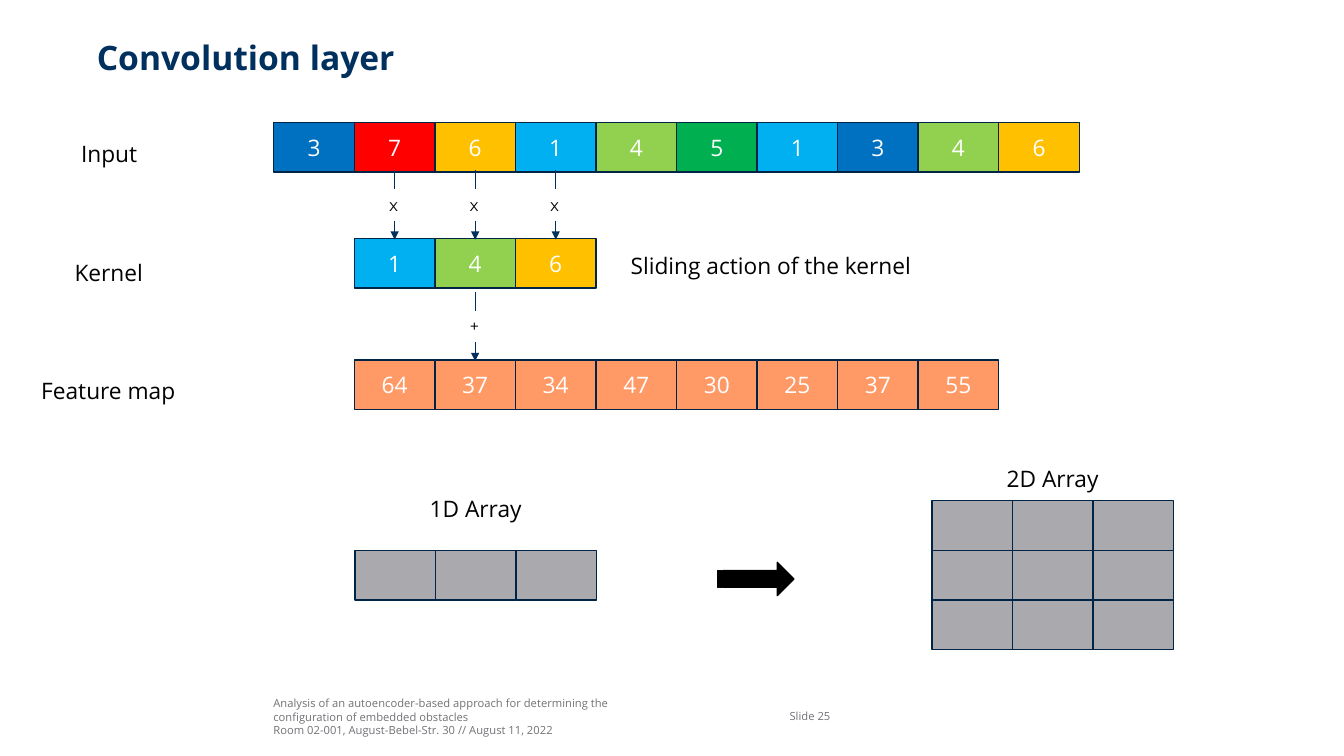
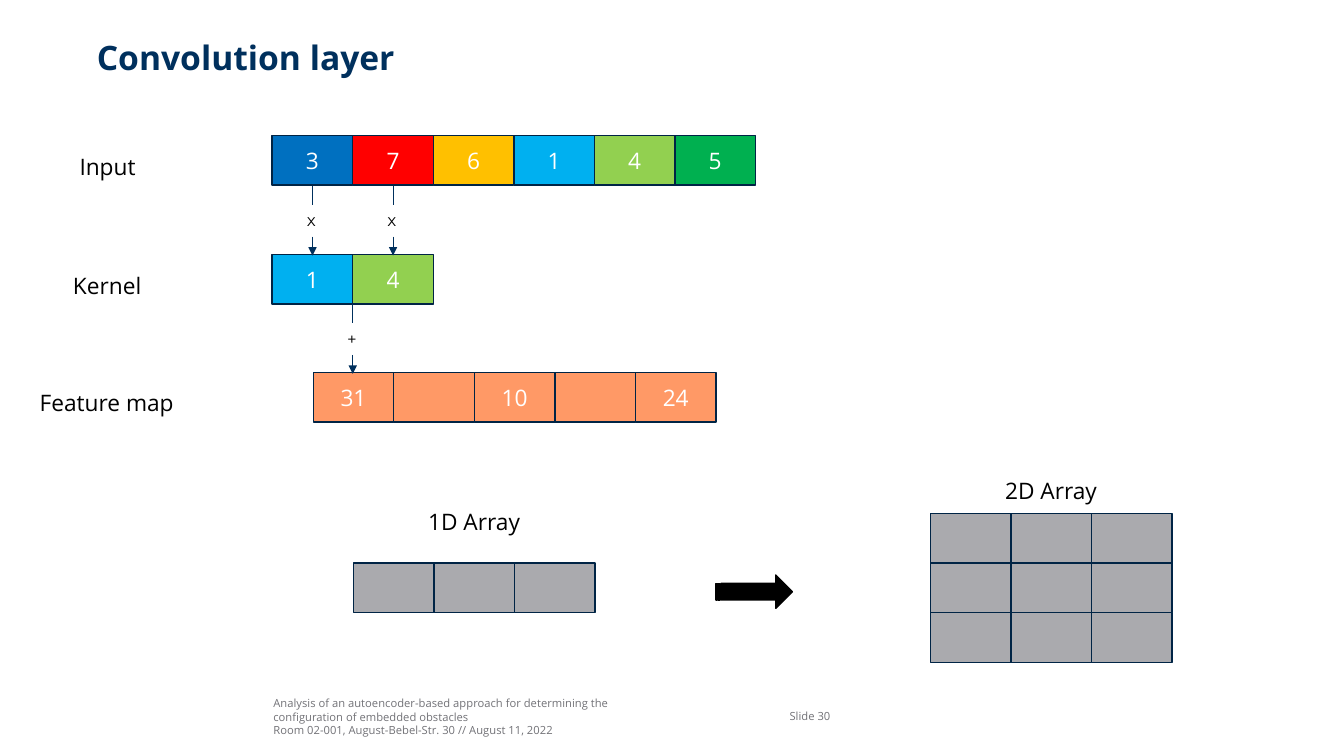
"""Build two slides that explain convolution with rows of numbered cells."""
from dataclasses import dataclass

from lxml.etree import SubElement
from pptx import Presentation
from pptx.dml.color import RGBColor
from pptx.enum.shapes import MSO_CONNECTOR, MSO_SHAPE
from pptx.enum.text import MSO_ANCHOR, MSO_AUTO_SIZE, PP_ALIGN
from pptx.oxml.ns import qn
from pptx.util import Cm, Pt


@dataclass(frozen=True)
class Theme:
    navy = RGBColor.from_string("00305D")
    edge = RGBColor.from_string("002445")
    black = RGBColor.from_string("000000")
    white = RGBColor.from_string("FFFFFF")
    footer = RGBColor.from_string("727277")
    gray = RGBColor.from_string("AAAAAE")
    salmon = RGBColor.from_string("FF9966")
    font = "Open Sans"
    symbol_font = "Montserrat"
    title_size = Pt(24)
    body_size = Pt(16.2)
    symbol_size = Pt(12)
    footer_size = Pt(8)


T = Theme()
VALUE_COLORS = {
    value: RGBColor.from_string(color)
    for value, color in {
        "1": "00B0F0", "3": "0070C0", "4": "92D050",
        "5": "00B050", "6": "FFC000", "7": "FF0000",
    }.items()
}
TITLE = {"name": T.font, "size": T.title_size, "bold": True, "color": T.navy}
LABEL = {"name": T.font, "size": T.body_size, "color": T.black}
VALUE = {**LABEL, "color": T.white}
SYMBOL = {"name": T.symbol_font, "size": T.symbol_size, "color": T.black}
FOOTER = {"name": T.font, "size": T.footer_size, "color": T.footer}
NO_INSETS = {"margin_left": 0, "margin_right": 0, "margin_top": 0, "margin_bottom": 0}
FOOTER_FRAME = {**NO_INSETS, "word_wrap": True, "vertical_anchor": MSO_ANCHOR.MIDDLE}
TITLE_FRAME = {**NO_INSETS, "word_wrap": True, "vertical_anchor": MSO_ANCHOR.TOP,
               "auto_size": MSO_AUTO_SIZE.NONE}
LABEL_FRAME = {"word_wrap": False, "auto_size": MSO_AUTO_SIZE.SHAPE_TO_FIT_TEXT}
CELL_FRAME = {"word_wrap": True, "vertical_anchor": MSO_ANCHOR.MIDDLE}

CELL_W, CELL_H = 2.03, 1.25
LABEL_H = 0.94
ARROW_H, ARROW_PART = 1.75, 0.48
SYMBOL_W, SYMBOL_H = 0.78, 0.77
FOOTER_LINES = [
    "Analysis of an autoencoder-based approach for determining the",
    "configuration of embedded obstacles",
    "Room 02-001, August-Bebel-Str. 30 // August 11, 2022",
]
SLIDES = [
    {"number": 25, "left": 6.9, "shift": 0, "kernel_y": 6.01,
     "input": "3 7 6 1 4 5 1 3 4 6".split(), "kernel": ["1", "4", "6"],
     "kernel_at": 1, "map_at": 1,
     "map": "64 37 34 47 30 25 37 55".split(),
     "note": "Sliding action of the kernel"},
    {"number": 30, "left": 6.86, "shift": 0.32, "kernel_y": 6.41,
     "input": "3 7 6 1 4 5".split(), "kernel": ["1", "4"],
     "kernel_at": 0, "map_at": 0.51,
     "map": ["31", "", "10", "", "24"], "note": ""},
]


def write(sp, lines, style, frame, align=PP_ALIGN.LEFT):
    tf = sp.text_frame
    for name, value in frame.items():
        setattr(tf, name, value)
    for i, line in enumerate(lines):
        p = tf.add_paragraph() if i else tf.paragraphs[0]
        p.alignment = align
        r = p.add_run()
        r.text = line
        for name, value in style.items():
            if name == "color":
                r.font.color.rgb = value
            else:
                setattr(r.font, name, value)


def add_cells(s, x, y, values, color=None):
    for i, value in enumerate(values):
        sp = s.shapes.add_shape(MSO_SHAPE.RECTANGLE, Cm(x + i * CELL_W), Cm(y),
                                Cm(CELL_W), Cm(CELL_H))
        sp.shadow.inherit = False
        sp.fill.solid()
        sp.fill.fore_color.rgb = color or VALUE_COLORS[value]
        sp.line.color.rgb = T.edge
        sp.line.width = Pt(1)
        if value:
            write(sp, [value], VALUE, CELL_FRAME, PP_ALIGN.CENTER)


prs = Presentation()
prs.slide_width, prs.slide_height = Cm(33.87), Cm(19.05)

for d in SLIDES:
    s = prs.slides.add_slide(prs.slide_layouts[5])
    title = s.shapes.title
    for name, value in {"left": 2.44, "top": 0.92, "width": 29.39, "height": 1.9}.items():
        setattr(title, name, Cm(value))
    write(title, ["Convolution layer"], TITLE, TITLE_FRAME)

    for x, y, w, lines in [(6.89, 17.55, 12.45, FOOTER_LINES),
                           (19.9, 17.53, 1.96, [f"Slide {d['number']}"])]:
        sp = s.shapes.add_textbox(Cm(x), Cm(y), Cm(w), Cm(1.02))
        write(sp, lines, FOOTER, FOOTER_FRAME)

    left, shift, kernel_y = d["left"], d["shift"], d["kernel_y"]
    dx = left - 6.9
    map_y, grid_y = 9.07 + shift, 12.62 + shift
    kernel_x = left + d["kernel_at"] * CELL_W
    add_cells(s, left, 3.09 + shift, d["input"])
    add_cells(s, kernel_x, kernel_y, d["kernel"])
    add_cells(s, left + d["map_at"] * CELL_W, map_y, d["map"], T.salmon)
    add_cells(s, 8.95 + dx, grid_y + CELL_H, [""] * 3, T.gray)
    for row in range(3):
        add_cells(s, 23.49 + dx, grid_y + row * CELL_H, [""] * 3, T.gray)

    labels = [
        ("Input", 2.76, 3.4, 1.93),
        ("Kernel", 2.76, 6.4, 2.26),
        ("Feature map", 2.76, 9.36, 3.94),
        ("1D Array", 12.0, 12.35, 2.84),
        ("2D Array", 26.54, 11.58, 2.84),
    ]
    if d["note"]:
        labels.append((d["note"], 19.48, 6.22, 7.67))
    for text, center, y, w in labels:
        sp = s.shapes.add_textbox(Cm(center - w / 2 + dx), Cm(y + shift), Cm(w), Cm(LABEL_H))
        write(sp, [text], LABEL, LABEL_FRAME)

    count = len(d["kernel"])
    steps = [("x", kernel_x + (i + 0.5) * CELL_W, kernel_y) for i in range(count)]
    steps.append(("+", kernel_x + count * CELL_W / 2, map_y))
    for symbol, x, target_y in steps:
        end = target_y + 0.03
        start = end - ARROW_H
        sp = s.shapes.add_textbox(Cm(x - SYMBOL_W / 2), Cm(start + ARROW_PART),
                                  Cm(SYMBOL_W), Cm(SYMBOL_H))
        sp.fill.solid()
        sp.fill.fore_color.rgb = T.white
        write(sp, [symbol], SYMBOL, LABEL_FRAME)
        for y, has_head in [(start, False), (end - ARROW_PART, True)]:
            c = s.shapes.add_connector(MSO_CONNECTOR.STRAIGHT, Cm(x), Cm(y),
                                       Cm(x), Cm(y + ARROW_PART))
            c.line.color.rgb = T.navy
            c.line.width = Pt(0.5)
            props = c._element.spPr
            if has_head:
                SubElement(props.find(qn("a:ln")), qn("a:tailEnd"), type="triangle")
            SubElement(props, qn("a:effectLst"))

    arrow = s.shapes.add_shape(MSO_SHAPE.STRIPED_RIGHT_ARROW, Cm(18.08 + dx),
                               Cm(14.17 + shift), Cm(1.93), Cm(0.84))
    arrow.shadow.inherit = False
    arrow.fill.solid()
    arrow.fill.fore_color.rgb = T.black
    arrow.line.color.rgb = T.black
    arrow.line.width = Pt(1)

prs.save("out.pptx")
